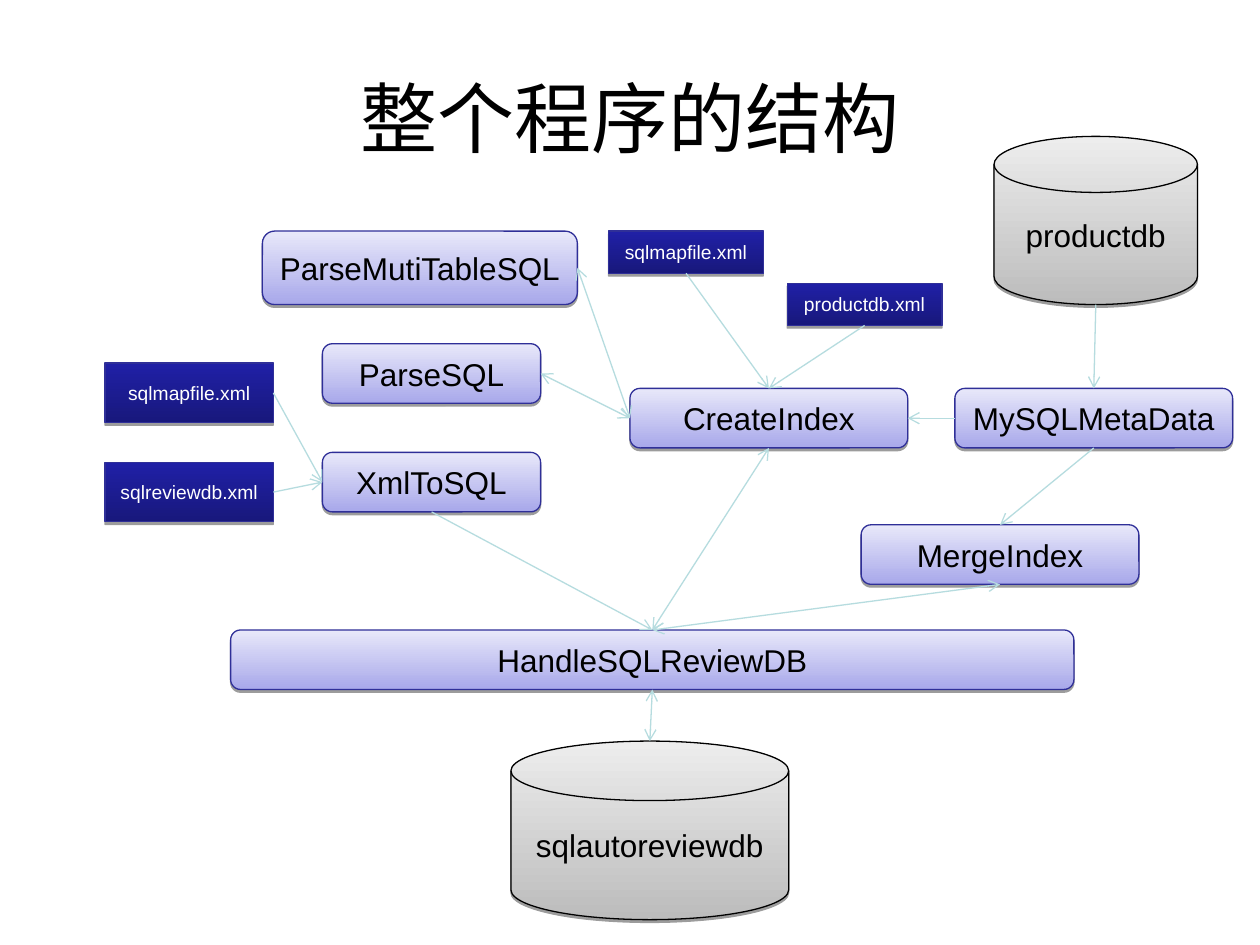
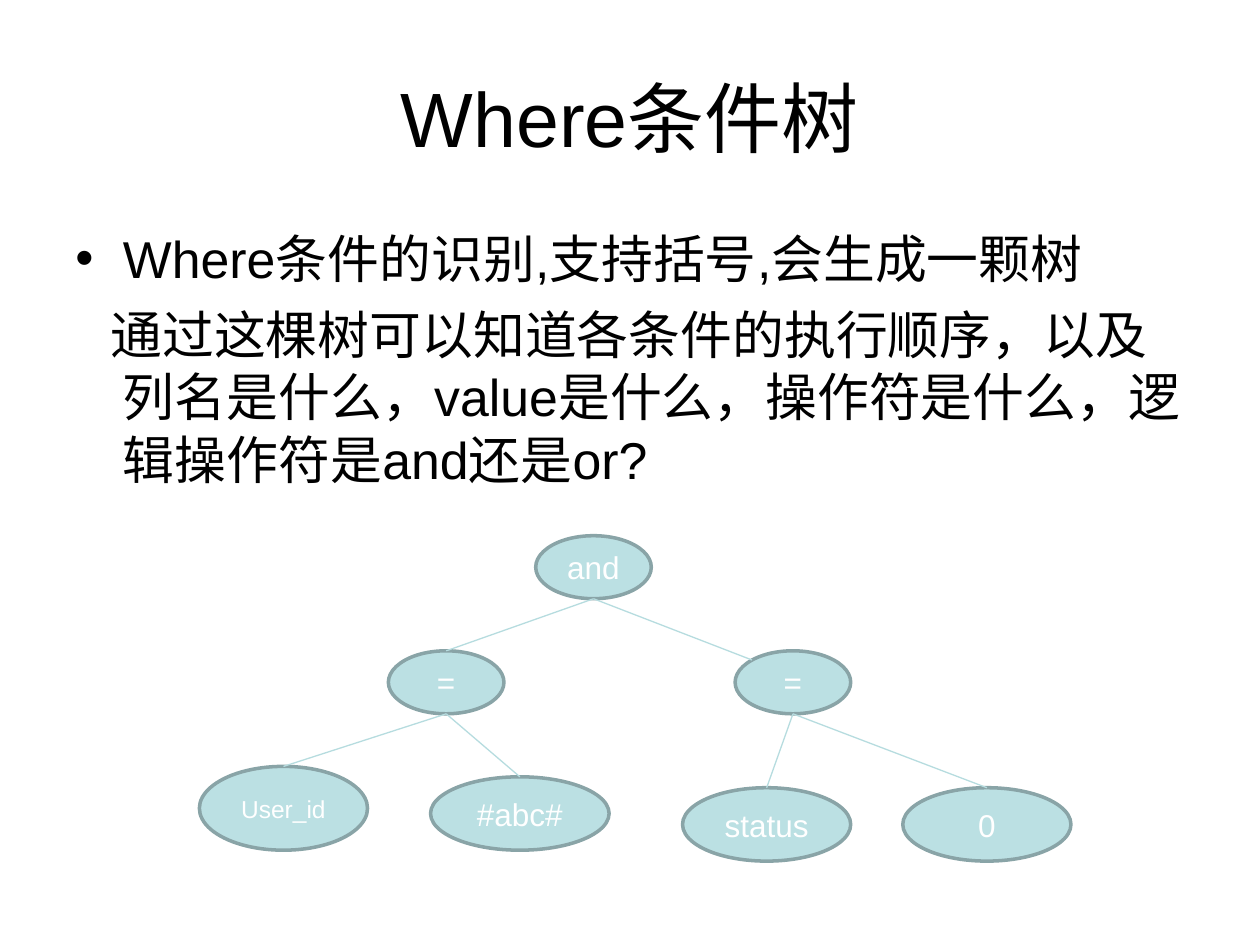
from lxml import etree
from pptx import Presentation
from pptx.dml.color import RGBColor
from pptx.enum.shapes import MSO_CONNECTOR, MSO_SHAPE
from pptx.enum.text import MSO_ANCHOR, PP_ALIGN
from pptx.oxml.ns import qn
from pptx.util import Cm, Pt

STRAIGHT = MSO_CONNECTOR.STRAIGHT
ROUNDED = MSO_SHAPE.ROUNDED_RECTANGLE
RECTANGLE = MSO_SHAPE.RECTANGLE
OVAL = MSO_SHAPE.OVAL
DISK = MSO_SHAPE.FLOWCHART_MAGNETIC_DISK
MIDDLE = MSO_ANCHOR.MIDDLE
CENTER = PP_ALIGN.CENTER

BLACK = RGBColor(0x00, 0x00, 0x00)
WHITE = RGBColor(0xFF, 0xFF, 0xFF)
INDIGO = RGBColor(0x2F, 0x2F, 0x98)
LAVENDER = (RGBColor(0xA8, 0xA8, 0xEA), RGBColor(0xE8, 0xE8, 0xFA))
NAVY = (RGBColor(0x18, 0x18, 0x7C), RGBColor(0x20, 0x20, 0xA6))
GREY = (RGBColor(0xBC, 0xBC, 0xBC), RGBColor(0xED, 0xED, 0xED))
AQUA = RGBColor(0xBB, 0xE0, 0xE3)
AQUA_EDGE = RGBColor(0x89, 0xA4, 0xA7)
LINK = RGBColor(0xB6, 0xDC, 0xDF)

SIDES = {
    "top": (0.5, 0), "left": (0, 0.5), "bottom": (0.5, 1),
    "right": (1, 0.5), "top left": (0.146, 0.146),
}

MODULES = {
    "parse_multi": ("ParseMutiTableSQL", 5.29, 4.66, 6.35, 1.48),
    "parse": ("ParseSQL", 6.5, 6.93, 4.4, 1.2),
    "xml_to_sql": ("XmlToSQL", 6.5, 9.12, 4.4, 1.2),
    "create": ("CreateIndex", 12.7, 7.83, 5.6, 1.2),
    "metadata": ("MySQLMetaData", 19.25, 7.83, 5.6, 1.2),
    "merge": ("MergeIndex", 17.36, 10.58, 5.6, 1.2),
    "handle": ("HandleSQLReviewDB", 4.65, 12.7, 17, 1.2),
}
DATABASES = {
    "product_db": ("productdb", 20.04, 2.75, 4.1, 3.39),
    "review_db": ("sqlautoreviewdb", 10.3, 14.94, 5.6, 3.6),
}
FILES = {
    "map_file": ("sqlmapfile.xml", 2.12, 7.32, 3.39, 1.2),
    "review_file": ("sqlreviewdb.xml", 2.12, 9.32, 3.39, 1.2),
    "index_map_file": ("sqlmapfile.xml", 12.27, 4.66, 3.12, 0.85),
    "product_file": ("productdb.xml", 15.87, 5.71, 3.12, 0.85),
}
ONE_WAY = [
    ("xml_to_sql", "bottom", "handle", "top"),
    ("product_db", "bottom", "metadata", "top"),
    ("metadata", "left", "create", "right"),
    ("map_file", "right", "xml_to_sql", "left"),
    ("review_file", "right", "xml_to_sql", "left"),
    ("product_file", "bottom", "create", "top"),
    ("index_map_file", "bottom", "create", "top"),
    ("metadata", "bottom", "merge", "top"),
]
TWO_WAY = [
    ("create", "left", "parse", "right"),
    ("parse_multi", "right", "create", "left"),
    ("handle", "bottom", "review_db", "top"),
    ("create", "bottom", "handle", "top"),
    ("handle", "top", "merge", "bottom"),
]

TREE_NODES = {
    "root": ("and", 10.8, 10.8, 2.33, 1.27),
    "left_equal": ("=", 7.83, 13.12, 2.33, 1.27),
    "right_equal": ("=", 14.82, 13.12, 2.33, 1.27),
    "user": ("User_id", 4.02, 15.45, 3.39, 1.69),
    "abc": ("#abc#", 8.68, 15.66, 3.6, 1.48),
    "status": ("status", 13.76, 15.88, 3.39, 1.48),
    "zero": ("0", 18.2, 15.88, 3.39, 1.48),
}
TREE_EDGES = [
    ("root", "left_equal", "top"), ("root", "right_equal", "top left"),
    ("left_equal", "user", "top"), ("left_equal", "abc", "top"),
    ("right_equal", "status", "top"), ("right_equal", "zero", "top"),
]


class Deck:
    """Holds the shared style and draws elements on the current slide."""

    font_name = "Arial"

    def __init__(self):
        self.presentation = Presentation()
        self.presentation.slide_width = Cm(25.4)
        self.presentation.slide_height = Cm(19.05)
        self.slide = None

    def new_slide(self, title):
        self.slide = self.presentation.slides.add_slide(self.presentation.slide_layouts[6])
        text_frame = self.text_box(1.27, 0.76, 22.86, 3.18)
        text_frame.vertical_anchor = MIDDLE
        text_frame.text = title
        self.format(text_frame.paragraphs[0], 44, BLACK, CENTER)

    def text_box(self, left, top, width, height):
        box = self.slide.shapes.add_textbox(Cm(left), Cm(top), Cm(width), Cm(height))
        box.text_frame.word_wrap = True
        return box.text_frame

    def format(self, paragraph, size, color, alignment=None):
        paragraph.alignment = alignment
        for run in paragraph.runs:
            run.font.name = self.font_name
            run.font.size = Pt(size)
            run.font.color.rgb = color

    def body(self, lines):
        text_frame = self.text_box(1.27, 4.45, 22.86, 6.35)
        for index, (text, first_indent, bullet) in enumerate(lines):
            paragraph = text_frame.add_paragraph() if index else text_frame.paragraphs[0]
            paragraph.text = text
            if index:
                paragraph.space_before = Pt(8)
            properties = paragraph._p.get_or_add_pPr()
            properties.set("marL", str(Cm(0.96)))
            properties.set("indent", str(Cm(first_indent)))
            if bullet:
                etree.SubElement(properties, qn("a:buFont"), typeface=self.font_name)
                etree.SubElement(properties, qn("a:buChar"), char=bullet)
            else:
                etree.SubElement(properties, qn("a:buNone"))
            self.format(paragraph, 29.6, BLACK)

    def node(self, preset, label, left, top, width, height, line, line_width=0.75,
             size=18, color=BLACK):
        shape = self.slide.shapes.add_shape(preset, Cm(left), Cm(top), Cm(width), Cm(height))
        shape.shadow.inherit = False
        shape.line.color.rgb = line
        shape.line.width = Pt(line_width)
        shape.text_frame.text = label
        shape.text_frame.word_wrap = True
        shape.text_frame.vertical_anchor = MIDDLE
        self.format(shape.text_frame.paragraphs[0], size, color, CENTER)
        return shape

    def raised_node(self, preset, label, left, top, width, height, gradient, line, **text_style):
        shape = self.node(preset, label, left, top, width, height, line, **text_style)
        shape.fill.gradient()
        shape.fill.gradient_angle = 90
        for stop, color in zip(shape.fill.gradient_stops, gradient):
            stop.color.rgb = color
        effects = shape._element.spPr.find(qn("a:effectLst"))
        shadow = etree.SubElement(effects, qn("a:outerShdw"), blurRad="0", dist=str(Pt(1.6)),
                                  dir="5400000", rotWithShape="0")
        shadow_color = etree.SubElement(shadow, qn("a:srgbClr"), val=str(BLACK))
        etree.SubElement(shadow_color, qn("a:alpha"), val="38000")
        return shape

    def tree_node(self, label, left, top, width, height):
        size = 14 if label == "User_id" else 18
        shape = self.node(OVAL, label, left, top, width, height, AQUA_EDGE, 2, size, WHITE)
        shape.fill.solid()
        shape.fill.fore_color.rgb = AQUA
        return shape

    def anchor(self, shape, side):
        across, down = SIDES[side]
        return (round(shape.left + shape.width * across),
                round(shape.top + shape.height * down))

    def link(self, start, start_side, end, end_side, arrows=()):
        connector = self.slide.shapes.add_connector(
            STRAIGHT, *self.anchor(start, start_side), *self.anchor(end, end_side))
        connector.line.color.rgb = LINK
        connector.line.width = Pt(0.75)
        line = connector.line._get_or_add_ln()
        for arrow in arrows:
            etree.SubElement(line, qn(f"a:{arrow}"), type="arrow")
        etree.SubElement(connector._element.spPr, qn("a:effectLst"))


def build_structure(deck):
    deck.new_slide("整个程序的结构")
    shapes = {}
    for name, box in MODULES.items():
        shapes[name] = deck.raised_node(ROUNDED, *box, LAVENDER, INDIGO)
    for name, box in DATABASES.items():
        shapes[name] = deck.raised_node(DISK, *box, GREY, BLACK)
    for name, box in FILES.items():
        shapes[name] = deck.raised_node(RECTANGLE, *box, NAVY, INDIGO, size=11, color=WHITE)
    for links, arrows in ((ONE_WAY, ["tailEnd"]), (TWO_WAY, ["headEnd", "tailEnd"])):
        for start, start_side, end, end_side in links:
            deck.link(shapes[start], start_side, shapes[end], end_side, arrows)


def build_condition_tree(deck):
    deck.new_slide("Where条件树")
    deck.body([
        ("Where条件的识别,支持括号,会生成一颗树", -0.96, "•"),
        ("通过这棵树可以知道各条件的执行顺序，以及列名是什么，value是什么，"
         "操作符是什么，逻辑操作符是and还是or?", -0.25, None),
    ])
    nodes = {name: deck.tree_node(*box) for name, box in TREE_NODES.items()}
    for parent, child, side in TREE_EDGES:
        deck.link(nodes[parent], "bottom", nodes[child], side)


def main():
    deck = Deck()
    build_structure(deck)
    build_condition_tree(deck)
    deck.presentation.save("out.pptx")


if __name__ == "__main__":
    main()
